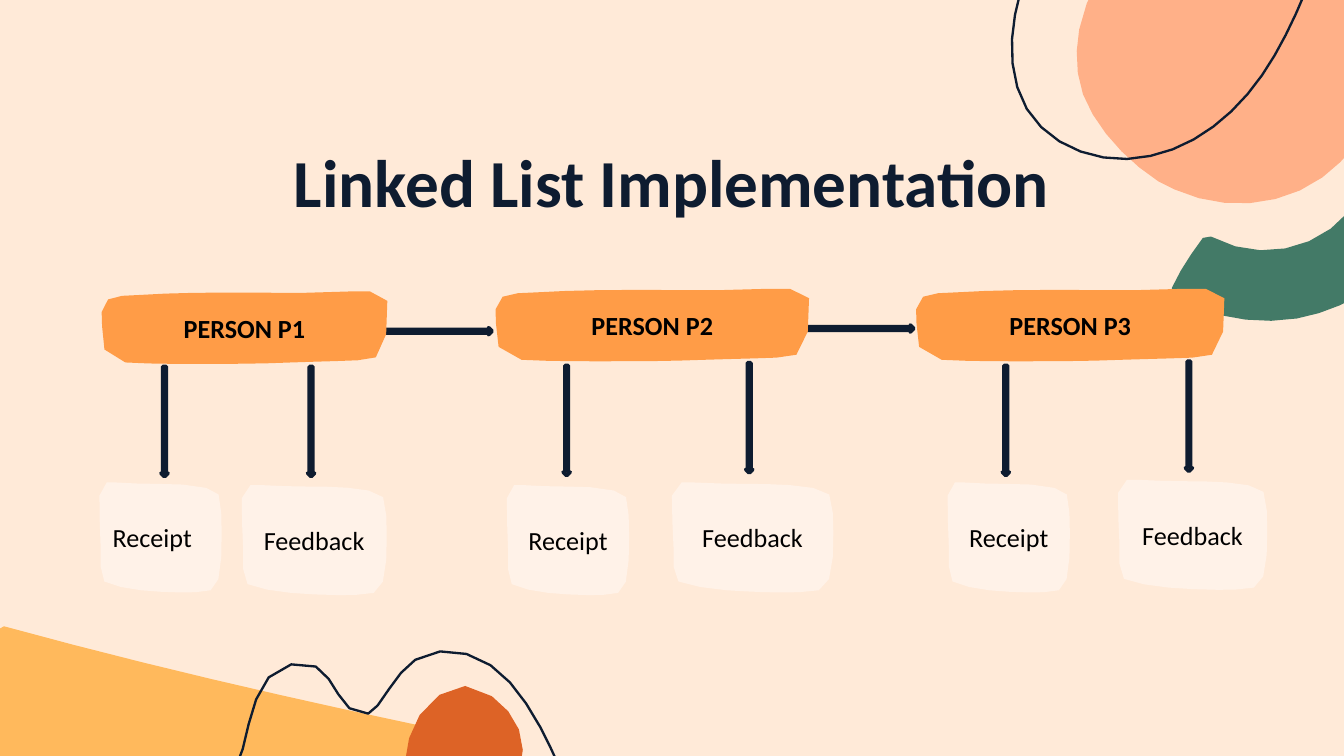
from math import dist

from pptx import Presentation
from pptx.dml.color import RGBColor
from pptx.enum.shapes import MSO_SHAPE
from pptx.enum.text import MSO_ANCHOR, MSO_AUTO_SIZE, PP_ALIGN
from pptx.util import Cm, Pt

FONT = "Calibri"
COLORS = {
    "background": "FFEAD8", "navy": "0E1C30", "black": "000000",
    "banner": "FF9C47", "card": "FFF2E8", "yellow": "FFB95C",
    "peach": "FFB088", "green": "437A67", "rust": "DD6326",
}
PAGE_BOX = (0, 0, 25.4, 14.29)
PAGE_GRID = (1000, 562.5)
MAX_CURVE_STEPS = 6
CARD_HEIGHT = 2.08
ARROW_WIDTH, ARROW_LENGTH = 0.13, 2.08

BANNER_OUTLINE = [
    (87, 0), (70.5, 2),
    (51.5, 2, 32, 0, 13.4, 5), (10, 6, 5.5, 5, 3, 11),
    (0, 20, 0.7, 36, 0.9, 48), (0.9, 69, 0.4, 96, 9, 98),
    (17.3, 100, 25, 100, 33, 100), (44, 100, 55.5, 100, 66.7, 98),
    (72, 98, 77.5, 96, 82.7, 96), (87, 95, 92.6, 96, 96, 91),
    (100, 85, 99.6, 70, 99.6, 59), (99.6, 44, 100, 28, 100, 13),
    (100, 2, 94, 0, 94, 0),
]
CARD_OUTLINE = [
    (13, 0), (30, 1),
    (49, 2, 68, 0, 87.5, 5), (91, 5, 95, 5, 97.5, 11),
    (100, 20, 100, 35, 100, 46), (100, 67, 100, 95, 91, 98),
    (83, 100, 75, 100, 67.5, 100), (56, 100, 45, 99, 34, 98),
    (28.5, 97, 22.5, 96, 17.5, 95), (13, 94, 7.5, 96, 4, 90),
    (0, 84, 1, 70, 1, 59), (0.4, 44, 0, 28, 0, 12),
    (0, 1, 6, 0, 6, 0),
]
HILL = [(-13, 475), (-49, 631), (179, 700), (279, 730), (295, 720),
        (309, 666, 318, 609, 322, 553), (313, 540), (209, 518, 105, 494, 3, 466)]
PEACH_BLOB = [
    (877, -68),
    (840, -53, 811, -18, 803, 22), (799, 43, 801, 66, 813, 85),
    (825, 105, 842, 122, 862, 135), (866, 137, 870, 139, 874, 141),
    (909, 157, 952, 155, 984, 132), (1003, 118, 1017, 99, 1026, 79),
    (1035, 60, 1041, 36, 1035, 16), (1017, -1), (965, -25),
]
TOP_LOOP = [
    (984, -38), (971, -5, 959, 27, 939, 56),
    (919, 85, 890, 109, 856, 116), (822, 124, 782, 111, 764, 81),
    (755, 66, 752, 47, 753, 29), (754, 11, 759, -7, 765, -24),
    (780, -66, 800, -106, 825, -142),
]
GREEN_ARC = [
    (873, 221), (901, 236, 933, 242, 965, 237),
    (998, 231, 1029, 213, 1051, 186), (1050, 178),
    (1038, 171, 1027, 164, 1017, 156), (1012, 153), (1004, 157),
    (979, 187, 936, 195, 901, 176), (899, 175, 896, 175, 895, 177),
    (886, 189, 878, 201, 872, 214), (870, 216, 871, 219, 872, 221),
]
RUST_PEBBLE = [
    (301, 569), (304, 572), (384, 573), (387, 571),
    (388, 566, 389, 562, 389, 558), (389, 542, 380, 528, 366, 518),
    (353, 508, 339, 508, 327, 517), (308, 531, 303, 548, 301, 569),
]
BOTTOM_WAVE = [
    (117, 607), (140, 609, 164, 596, 174, 575),
    (180, 564, 182, 551, 185, 539), (188, 526, 192, 514, 200, 504),
    (209, 495, 224, 490, 235, 496), (247, 503, 250, 518, 260, 527),
    (264, 531, 269, 533, 274, 531), (277, 530, 279, 528, 281, 525),
    (290, 513, 297, 499, 309, 491), (326, 480, 349, 484, 365, 495),
    (381, 506, 392, 523, 402, 541), (415, 566, 426, 592, 434, 618),
]
DECORATIONS = [
    (HILL, "yellow"), (PEACH_BLOB, "peach"), (TOP_LOOP, None),
    (GREEN_ARC, "green"), (RUST_PEBBLE, "rust"), (BOTTOM_WAVE, None),
]

LEFT, CENTER = PP_ALIGN.LEFT, PP_ALIGN.CENTER
# label, banner box, cards (text, align, dx, dy, width), arrows (dx, dy)
PEOPLE = [
    ("PERSON P1", (1.88, 5.51, 5.44, 1.37),
     [("Receipt", LEFT, 0, 3.61, 2.31), ("Feedback", CENTER, 2.69, 3.66, 2.74)],
     [(1.23, 1.42), (4, 1.42)]),
    ("PERSON P2", (9.32, 5.46, 5.97, 1.37),
     [("Receipt", CENTER, 0.26, 3.71, 2.31), ("Feedback", CENTER, 3.38, 3.66, 3.05)],
     [(1.39, 1.45), (4.84, 1.4)]),
    ("PERSON P3", (17.27, 5.46, 5.87, 1.37),
     [("Receipt", CENTER, 0.64, 3.66, 2.31), ("Feedback", CENTER, 3.86, 3.61, 2.82)],
     [(1.74, 1.45), (5.2, 1.37)]),
]


def color(name):
    return RGBColor.from_string(COLORS[name])


def flatten(outline, box, grid):
    left, top, width, height = box
    points = []
    for segment in outline:
        controls = [(left + x * width / grid[0], top + y * height / grid[1])
                    for x, y in zip(segment[::2], segment[1::2])]
        if len(controls) == 1:
            points += controls
            continue
        controls.insert(0, points[-1])
        steps = min(MAX_CURVE_STEPS, 1 + int(2 * dist(controls[0], controls[-1])))
        for step in range(1, steps + 1):
            t = step / steps
            weights = ((1 - t) ** 3, 3 * t * (1 - t) ** 2, 3 * t * t * (1 - t), t ** 3)
            points.append(tuple(
                sum(w * c[axis] for w, c in zip(weights, controls)) for axis in (0, 1)))
    return [(Cm(x), Cm(y)) for x, y in points]


def add_outline(page, box, outline, fill, grid=(100, 100)):
    points = flatten(outline, box, grid)
    builder = page.shapes.build_freeform(*points[0])
    builder.add_line_segments(points[1:], close=fill is not None)
    shape = builder.convert_to_shape()
    shape.shadow.inherit = False
    if fill:
        shape.fill.solid()
        shape.fill.fore_color.rgb = color(fill)
        shape.line.fill.background()
    else:
        shape.fill.background()
        shape.line.color.rgb = color("navy")
        shape.line.width = Pt(1.25)
    return shape


def write(shape, text, size, ink, bold=False, align=CENTER):
    frame = shape.text_frame
    frame.word_wrap = True
    frame.auto_size = MSO_AUTO_SIZE.NONE
    frame.vertical_anchor = MSO_ANCHOR.MIDDLE
    frame.margin_left = frame.margin_right = Cm(0.25)
    frame.margin_top = frame.margin_bottom = Cm(0.25)
    frame.text = text
    para = frame.paragraphs[0]
    para.alignment = align
    para.font.name = FONT
    para.font.size = Pt(size)
    para.font.bold = bold
    para.font.color.rgb = color(ink)


def add_arrow(page, center_x, center_y, rotation=0):
    arrow = page.shapes.add_shape(
        MSO_SHAPE.DOWN_ARROW, Cm(center_x - ARROW_WIDTH / 2),
        Cm(center_y - ARROW_LENGTH / 2), Cm(ARROW_WIDTH), Cm(ARROW_LENGTH))
    arrow.rotation = rotation
    arrow.shadow.inherit = False
    arrow.fill.solid()
    arrow.fill.fore_color.rgb = color("rust")
    arrow.line.color.rgb = color("navy")
    arrow.line.width = Pt(2)


def add_decorations(page, box):
    for outline, fill in DECORATIONS:
        add_outline(page, box, outline, fill, PAGE_GRID)


def add_title(page, box):
    title = page.shapes.title
    title.left, title.top, title.width, title.height = map(Cm, box)
    write(title, "Linked List Implementation", 36, "navy", bold=True)


def add_person(page, box, label, cards, arrows, linked):
    left, top, width, height = box
    if linked:
        add_arrow(page, left + width - 0.1 + ARROW_LENGTH / 2, top + 0.75, 270)
    banner = add_outline(page, box, BANNER_OUTLINE, "banner")
    write(banner, label, 14, "black", bold=True)
    for text, align, dx, dy, card_width in cards:
        card_box = (left + dx, top + dy, card_width, CARD_HEIGHT)
        card = add_outline(page, card_box, CARD_OUTLINE, "card")
        write(card, text, 14, "black", align=align)
    for dx, dy in arrows:
        add_arrow(page, left + dx, top + dy + ARROW_LENGTH / 2)


def main():
    deck = Presentation()
    deck.slide_width, deck.slide_height = Cm(PAGE_BOX[2]), Cm(PAGE_BOX[3])
    page = deck.slides.add_slide(deck.slide_layouts[5])
    page.background.fill.solid()
    page.background.fill.fore_color.rgb = color("background")
    add_decorations(page, PAGE_BOX)
    for label, box, cards, arrows in PEOPLE:
        add_person(page, box, label, cards, arrows, linked=label != PEOPLE[-1][0])
    add_title(page, (4.39, 2.06, 16.61, 2.69))
    deck.save("out.pptx")


if __name__ == "__main__":
    main()
